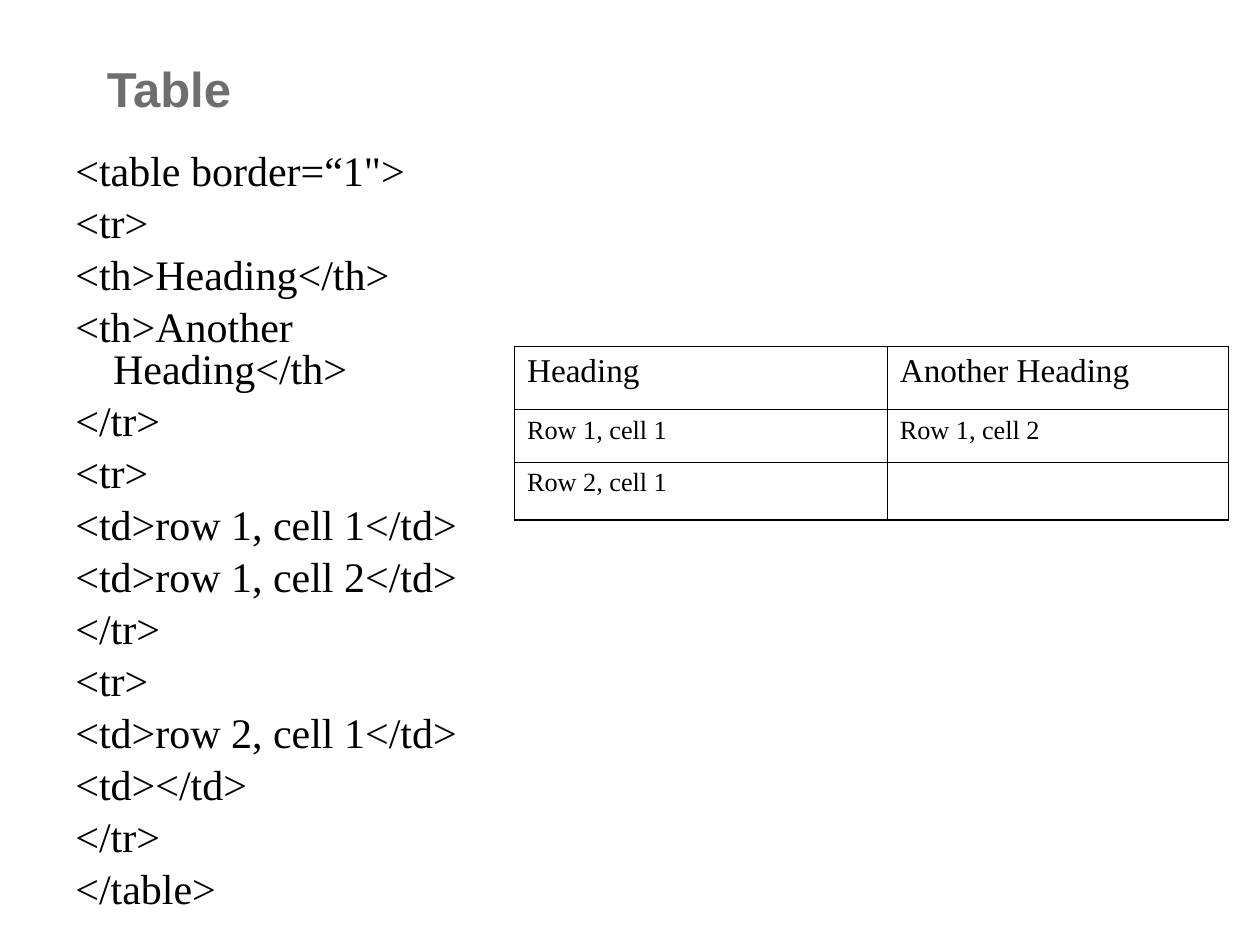
import dataclasses

import lxml.etree
import pptx
import pptx.dml.color
import pptx.enum.text
import pptx.oxml.ns
import pptx.util

COLUMNS, ROWS = 120, 90  # grid of the slide
UNIT = pptx.util.Inches(10) // COLUMNS


@dataclasses.dataclass(frozen=True)
class Theme:
    title_font: str = "Arial"
    body_font: str = "Times New Roman"
    title_color: str = "6E6E6E"
    text_color: str = "000000"
    border_color: str = "000000"
    title_size: float = 28
    code_size: float = 24
    heading_size: float = 19
    cell_size: float = 15
    space_before: float = 5.8
    code_line_spacing: float = 0.83
    outer_border: float = 1.08
    inner_border: float = 0.45


THEME = Theme()

CODE_LINES = [
    '<table border=“1">',
    "<tr>",
    "<th>Heading</th>",
    "<th>Another Heading</th>",
    "</tr>",
    "<tr>",
    "<td>row 1, cell 1</td>",
    "<td>row 1, cell 2</td>",
    "</tr>",
    "<tr>",
    "<td>row 2, cell 1</td>",
    "<td></td>",
    "</tr>",
    "</table>",
]
TABLE_ROWS = [
    ["Heading", "Another Heading"],
    ["Row 1, cell 1", "Row 1, cell 2"],
    ["Row 2, cell 1", ""],
]


def grid(*counts):
    """Turn counts of grid units into lengths."""
    return [pptx.util.Emu(round(count * UNIT)) for count in counts]


def add_run(paragraph, text, font, size, color, bold=False):
    run = paragraph.add_run()
    run.text = text
    run.font.name = font
    run.font.size = pptx.util.Pt(size)
    run.font.bold = bold
    run.font.color.rgb = pptx.dml.color.RGBColor.from_string(color)


def add_text_frame(slide, box):
    frame = slide.shapes.add_textbox(*grid(*box)).text_frame
    frame.word_wrap = True
    frame.vertical_anchor = pptx.enum.text.MSO_ANCHOR.TOP
    return frame


def add_title(slide, box):
    paragraph = add_text_frame(slide, box).paragraphs[0]
    add_run(paragraph, "Table", THEME.title_font, THEME.title_size,
            THEME.title_color, bold=True)


def add_code(slide, box):
    """List the markup lines, each with a hanging indent."""
    frame = add_text_frame(slide, box)
    hang = pptx.util.Inches(0.3)
    for index, line in enumerate(CODE_LINES):
        paragraph = frame.add_paragraph() if index else frame.paragraphs[0]
        paragraph.line_spacing = THEME.code_line_spacing
        paragraph.space_before = pptx.util.Pt(THEME.space_before)
        properties = paragraph._p.get_or_add_pPr()
        properties.set("marL", str(hang))
        properties.set("indent", str(-hang))
        add_run(paragraph, line, THEME.body_font, THEME.code_size, THEME.text_color)


def set_borders(cell, outer_sides):
    """Draw all four borders, heavier on the sides at the table's edge."""
    properties = cell._tc.get_or_add_tcPr()
    for position, side in enumerate("LRTB"):
        width = THEME.outer_border if side in outer_sides else THEME.inner_border
        line = lxml.etree.Element(pptx.oxml.ns.qn(f"a:ln{side}"),
                                  w=str(pptx.util.Pt(width)))
        fill = lxml.etree.SubElement(line, pptx.oxml.ns.qn("a:solidFill"))
        lxml.etree.SubElement(fill, pptx.oxml.ns.qn("a:srgbClr"),
                              val=THEME.border_color)
        properties.insert(position, line)


def add_result_table(slide, box, column_widths, row_heights):
    last_row, last_column = len(row_heights) - 1, len(column_widths) - 1
    table = slide.shapes.add_table(last_row + 1, last_column + 1, *grid(*box)).table
    table.first_row = table.horz_banding = False
    for column, width in zip(table.columns, grid(*column_widths)):
        column.width = width
    for row, height in zip(table.rows, grid(*row_heights)):
        row.height = height

    for row_index, texts in enumerate(TABLE_ROWS):
        size = THEME.cell_size if row_index else THEME.heading_size
        for column_index, text in enumerate(texts):
            cell = table.cell(row_index, column_index)
            cell.fill.background()
            edges = {"L": column_index == 0, "R": column_index == last_column,
                     "T": row_index == 0, "B": row_index == last_row}
            set_borders(cell, [side for side, outer in edges.items() if outer])
            if text:
                paragraph = cell.text_frame.paragraphs[0]
                paragraph.space_before = pptx.util.Pt(THEME.space_before)
                add_run(paragraph, text, THEME.body_font, size, THEME.text_color)


def main():
    presentation = pptx.Presentation()
    presentation.slide_width, presentation.slide_height = grid(COLUMNS, ROWS)
    slide = presentation.slides.add_slide(presentation.slide_layouts[6])
    add_title(slide, (9, 5, 102, 12))
    add_code(slide, (6, 14, 43, 59))
    add_result_table(slide, (49, 33, 68, 16.5), (35.5, 32.5), (6, 5, 5.5))
    presentation.save("out.pptx")


if __name__ == "__main__":
    main()
